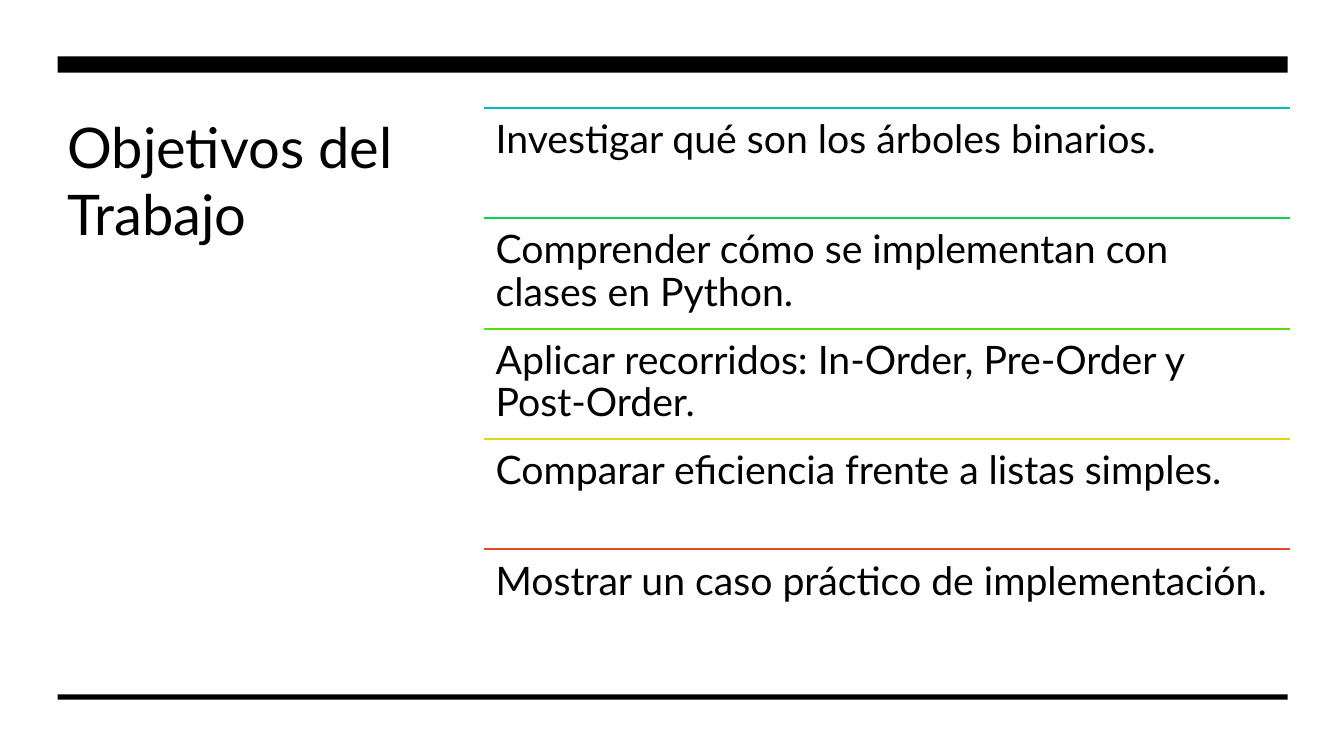
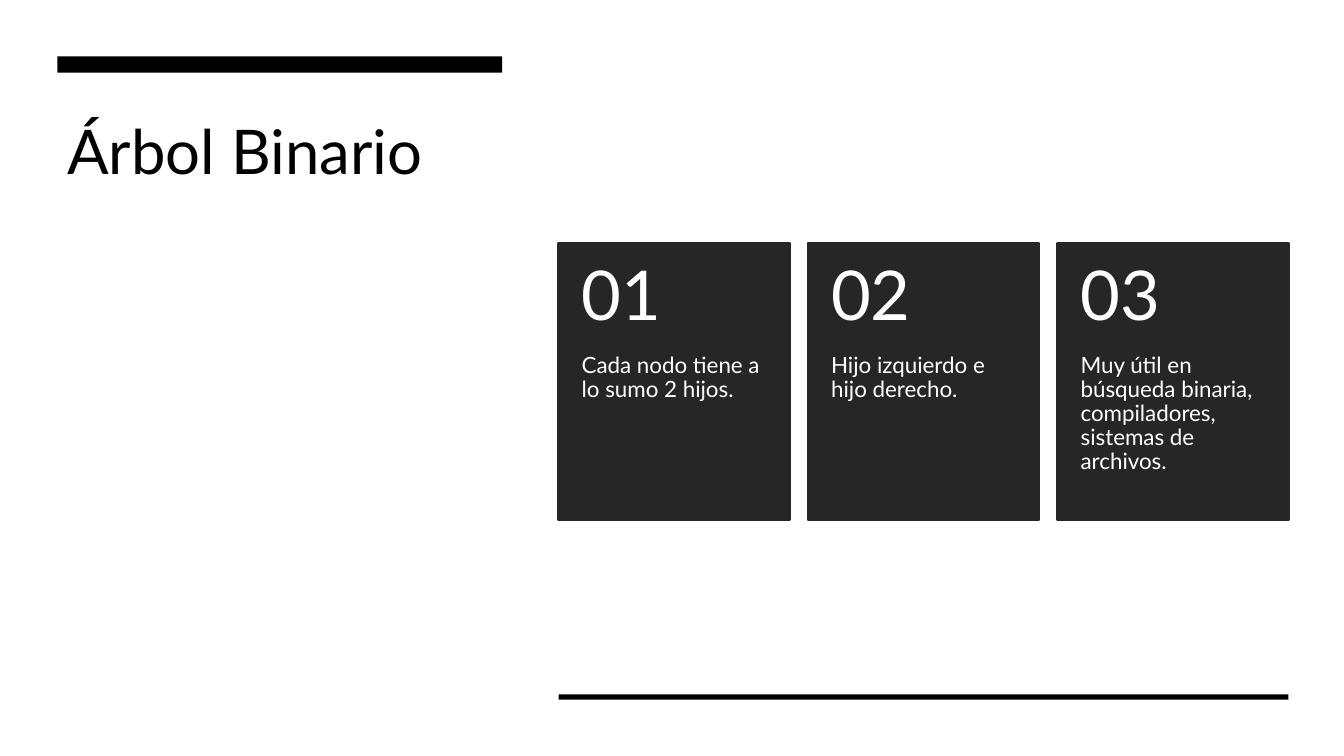
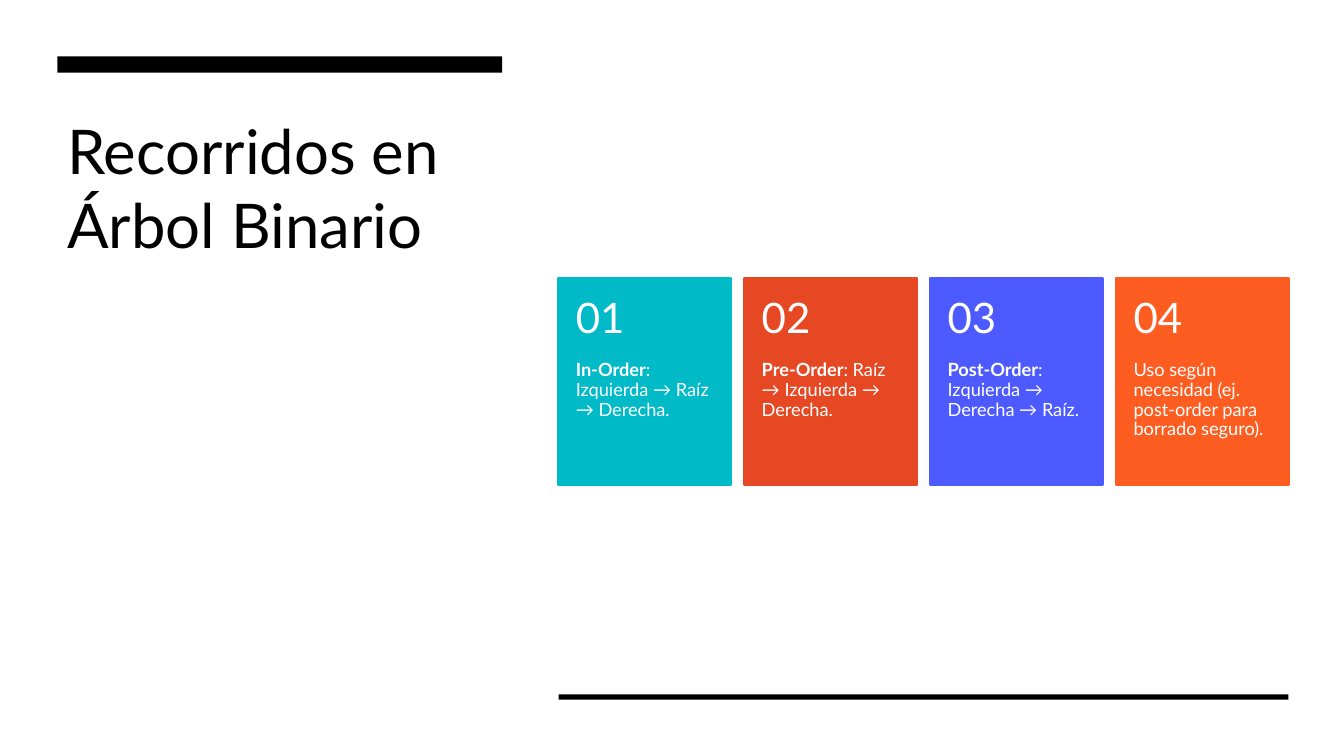
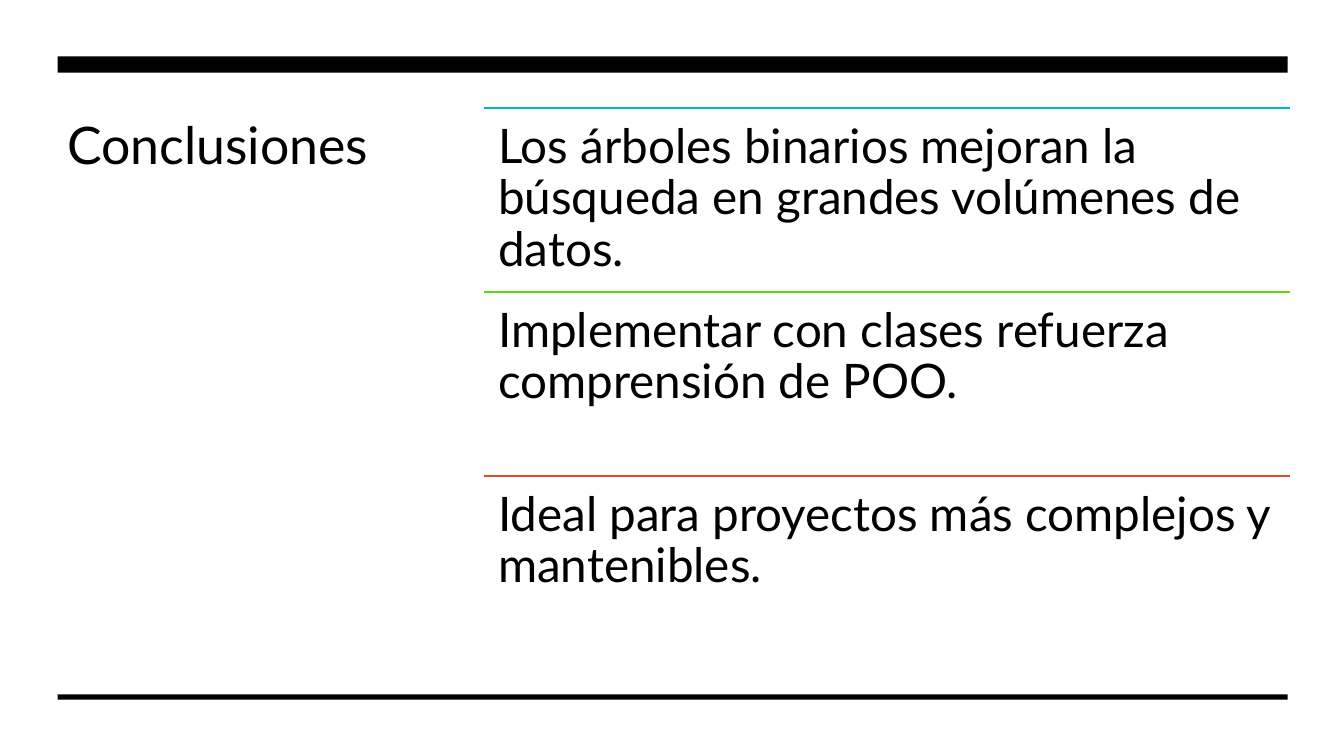
from dataclasses import dataclass

from lxml.etree import SubElement
from pptx import Presentation
from pptx.dml.color import RGBColor
from pptx.enum.shapes import MSO_CONNECTOR, MSO_SHAPE
from pptx.enum.text import MSO_ANCHOR
from pptx.oxml.ns import qn
from pptx.util import Inches, Pt


@dataclass(frozen=True)
class Theme:
    font: str = "Lato"
    ink: str = "000000"
    paper: str = "FFFFFF"
    dark: str = "262626"
    teal: str = "00BAC8"
    green: str = "06D34D"
    lime: str = "59DD0C"
    gold: str = "E6D313"
    red: str = "E64823"
    blue: str = "4D5AFF"
    orange: str = "FE5D21"
    stroke: float = 1.5
    large: int = 44
    medium: int = 40
    small: int = 37
    tight: float = 0.9


class Deck:
    """Draws slide elements placed in percent of the slide's width and height."""

    left, top, width = 4.28, 14.27, 91.52
    bar, foot = (7.47, 2.13), (91.87, 0.67)
    list_box = (36.01, 59.94, 73)
    card_box = (41.56, 54.31, 50.47)

    def __init__(self, theme):
        self.theme = theme
        self.show = Presentation()
        self.show.slide_width, self.show.slide_height = Inches(13.33), Inches(7.5)
        self.slide = None

    def x(self, share):
        return round(self.show.slide_width * share / 100)

    def y(self, share):
        return round(self.show.slide_height * share / 100)

    def area(self, x, y, w, h):
        return self.x(x), self.y(y), self.x(w), self.y(h)

    def rect(self, box, color, edge=False):
        shape = self.slide.shapes.add_shape(MSO_SHAPE.RECTANGLE, *box)
        shape.shadow.inherit = False
        shape.fill.solid()
        shape.fill.fore_color.rgb = RGBColor.from_string(color)
        if edge:
            shape.line.color.rgb = RGBColor.from_string(color)
            shape.line.width = Pt(self.theme.stroke)
        else:
            shape.line.fill.background()

    def rule(self, x, y, w, color):
        x, y, w, _ = self.area(x, y, w, 0)
        line = self.slide.shapes.add_connector(MSO_CONNECTOR.STRAIGHT, x, y, x + w, y)
        line.line.color.rgb = RGBColor.from_string(color)
        line.line.width = Pt(self.theme.stroke)
        SubElement(line._element.spPr, qn("a:effectLst"))

    def text(self, box, words, size, color, pads=None, space=None, anchor=MSO_ANCHOR.TOP):
        frame = self.slide.shapes.add_textbox(*box).text_frame
        frame.word_wrap = True
        frame.vertical_anchor = anchor
        if pads:
            (frame.margin_left, frame.margin_top,
             frame.margin_right, frame.margin_bottom) = pads
        para = frame.paragraphs[0]
        para.line_spacing = space
        para.font.name = self.theme.font
        para.font.size = Pt(size)
        para.font.color.rgb = RGBColor.from_string(color)
        lead, rest = words if isinstance(words, tuple) else ("", words)
        if lead:
            run = para.add_run()
            run.text = lead
            run.font.bold = True
        para.add_run().text = rest

    def page(self, title, size, bar, foot, box):
        self.slide = self.show.slides.add_slide(self.show.slide_layouts[6])
        self.text(self.area(self.left, self.top, *box), title, size, self.theme.ink)
        for (x, w), (y, h) in ((bar, self.bar), (foot, self.foot)):
            self.rect(self.area(x, y, w, h), self.theme.ink)

    def list(self, title, head, size, items):
        full = (self.left, self.width)
        self.page(title, head, full, full, (25.88, 59.33))
        x, w, h = self.list_box
        row = h / len(items)
        pad = Pt(0.3 * size)
        for i, (color, words) in enumerate(items):
            y = self.top + i * row
            self.rule(x, y, w, color)
            self.text(self.area(x, y, w, row), words, size, self.theme.ink,
                      (pad,) * 4, self.theme.tight)

    def cards(self, title, size, mark, items):
        x, w, mid = self.card_box
        span = 33.08
        self.page(title, self.theme.large, (self.left, span), (x, w), (span, 49.07))
        step = 1.08
        wide = round(self.x(w) / (step * (len(items) - 1) + 1))
        high = round(1.2 * wide)
        head = round(0.4 * high)
        top = self.y(mid) - high // 2
        side, pad = round(0.1 * wide), Pt(13)
        for i, (color, words) in enumerate(items):
            left = self.x(x) + round(i * step * wide)
            self.rect((left, top, wide, high), color, True)
            self.text((left, top + head, wide, high - head), words, size,
                      self.theme.paper, (side, 0, side, 2 * pad), self.theme.tight)
            self.text((left, top, wide, head), f"{i + 1:02}", mark, self.theme.paper,
                      (side, pad, side, pad), self.theme.tight, MSO_ANCHOR.MIDDLE)


def main():
    theme = Theme()
    deck = Deck(theme)
    deck.list("Objetivos del Trabajo", theme.medium, 28, [
        (theme.teal, "Investigar qué son los árboles binarios."),
        (theme.green, "Comprender cómo se implementan con clases en Python."),
        (theme.lime, "Aplicar recorridos: In-Order, Pre-Order y Post-Order."),
        (theme.gold, "Comparar eficiencia frente a listas simples."),
        (theme.red, "Mostrar un caso práctico de implementación."),
    ])
    deck.cards("Árbol Binario", 16, 49, [
        (theme.dark, "Cada nodo tiene a lo sumo 2 hijos."),
        (theme.dark, "Hijo izquierdo e hijo derecho."),
        (theme.dark, "Muy útil en búsqueda binaria, compiladores, sistemas de archivos."),
    ])
    deck.cards("Recorridos en Árbol Binario", 13, 30, [
        (theme.teal, ("In-Order", ": Izquierda → Raíz → Derecha.")),
        (theme.red, ("Pre-Order", ": Raíz → Izquierda → Derecha.")),
        (theme.blue, ("Post-Order", ": Izquierda → Derecha → Raíz.")),
        (theme.orange, "Uso según necesidad (ej. post-order para borrado seguro)."),
    ])
    deck.list("Conclusiones", theme.small, 34, [
        (theme.teal, "Los árboles binarios mejoran la búsqueda en grandes volúmenes de datos."),
        (theme.lime, "Implementar con clases refuerza comprensión de POO."),
        (theme.red, "Ideal para proyectos más complejos y mantenibles."),
    ])
    deck.show.save("out.pptx")


if __name__ == "__main__":
    main()
